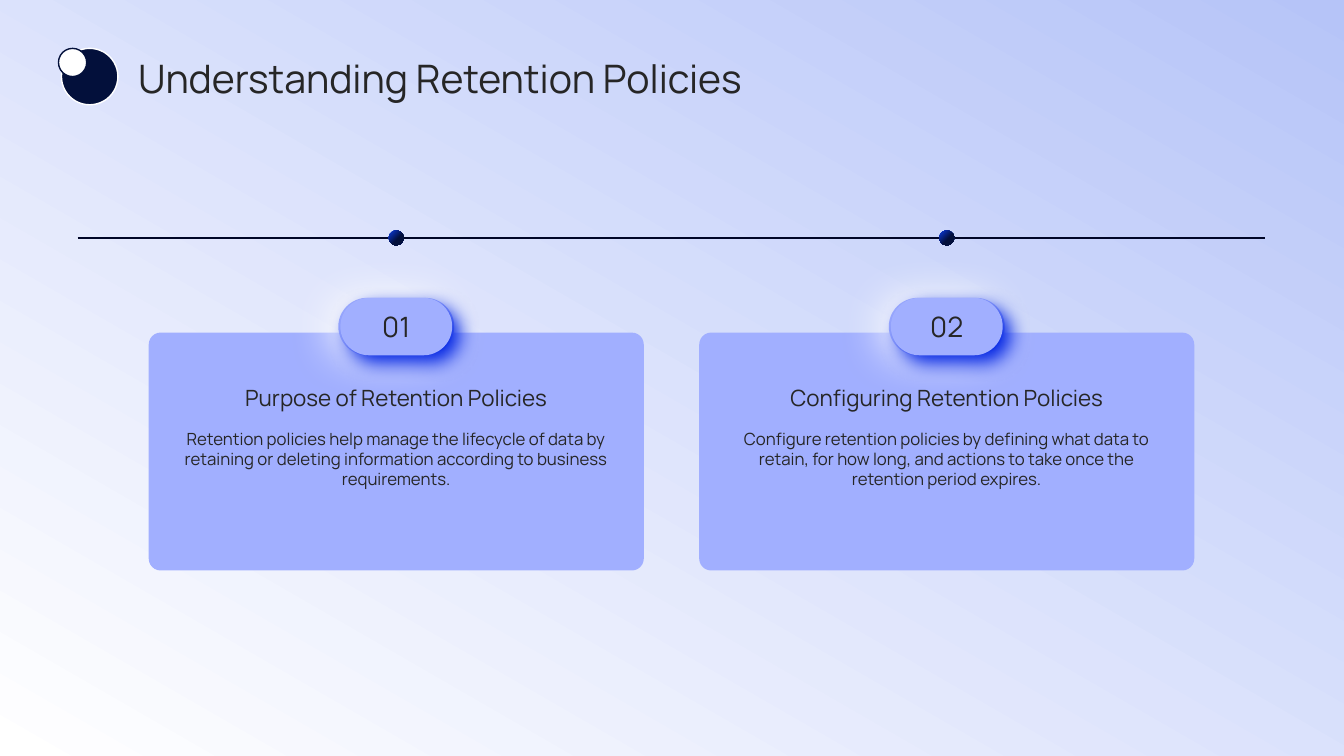
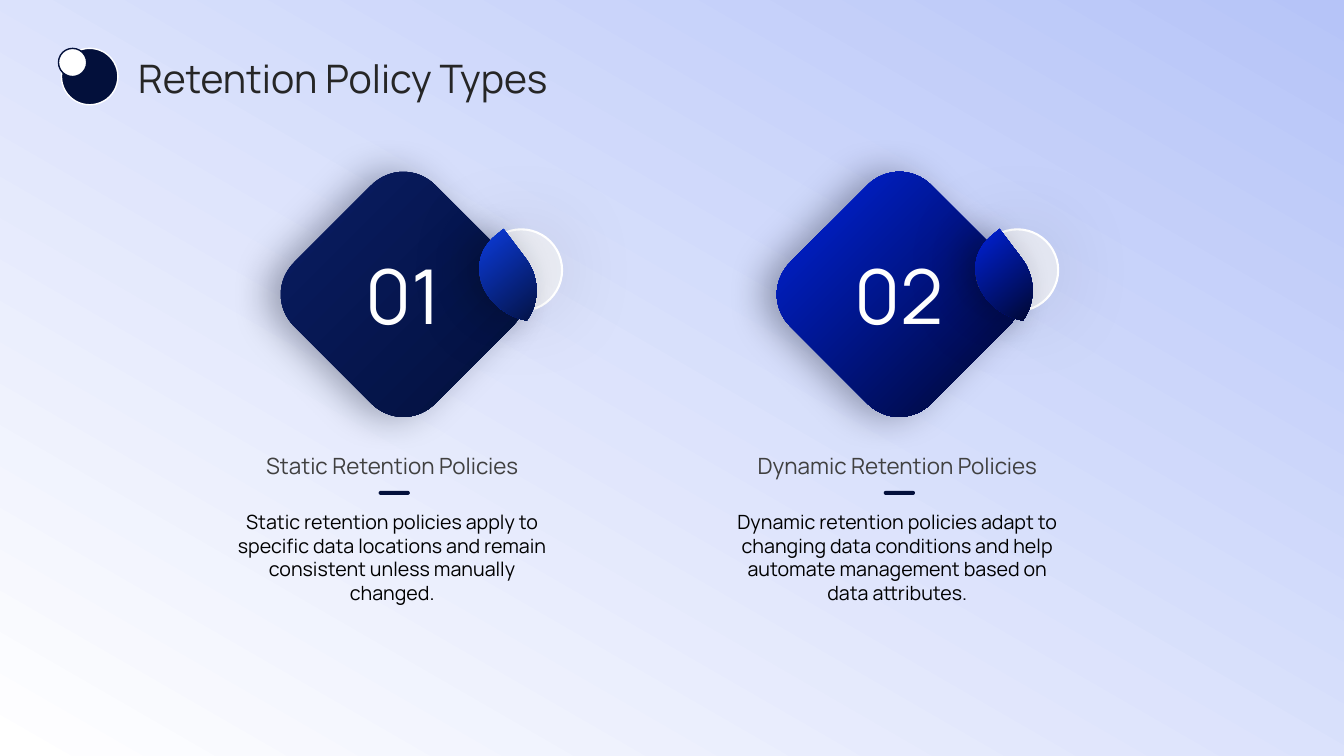
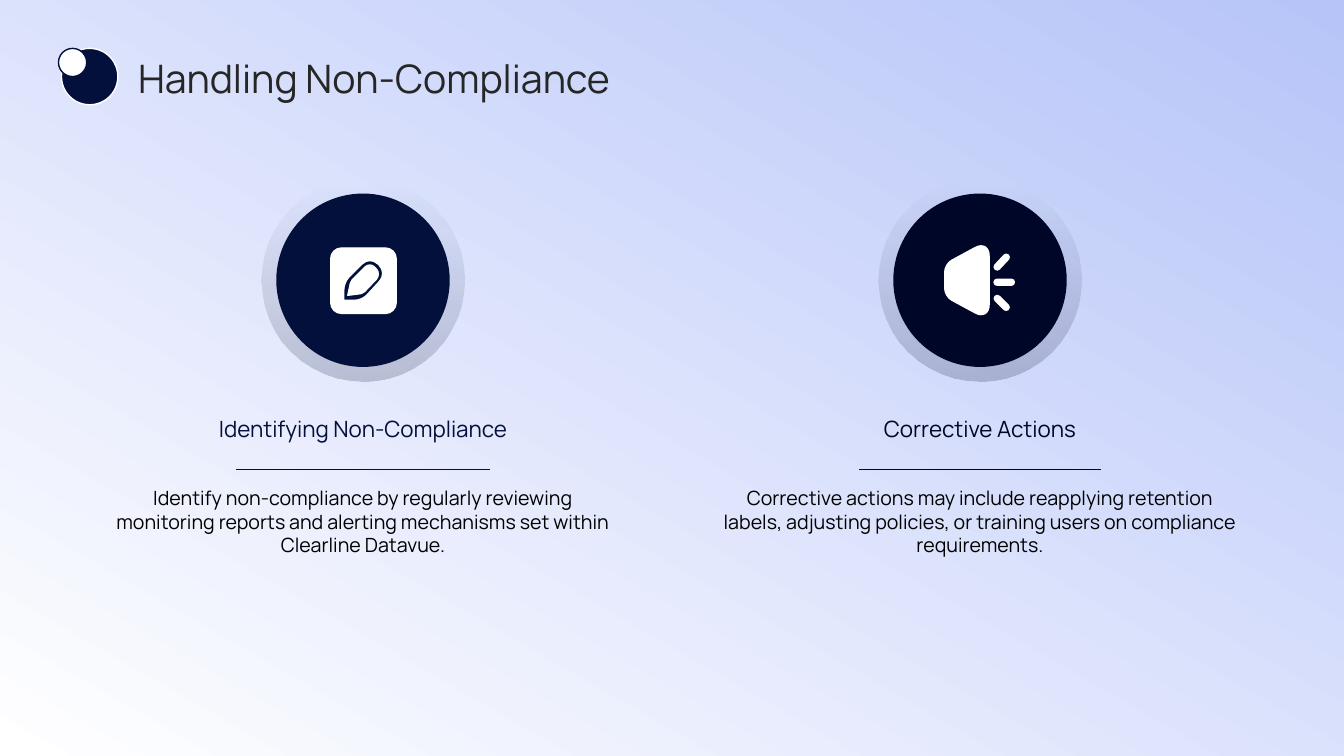
from lxml import etree
from pptx import Presentation
from pptx import util as u
from pptx.dml.color import RGBColor
from pptx.enum import shapes, text
from pptx.oxml.ns import qn

WIDTH, HEIGHT = 13.33, 7.5
FONT = "Manrope"
NAVY, MIDNIGHT, WHITE, INK, PERIWINKLE = "03103B", "000627", "FFFFFF", "262626", "A1AFFF"
ROYAL, COBALT = "0C3EE6", "0023E3"
KIND, ANCHOR, ALIGN = shapes.MSO_SHAPE, text.MSO_ANCHOR, text.PP_ALIGN

PURPOSE = {
    "title": "Understanding Retention Policies",
    "columns": [
        {"center": 3.93, "number": "01", "heading": "Purpose of Retention Policies",
         "body": "Retention policies help manage the lifecycle of data by retaining or deleting "
                 "information according to business requirements."},
        {"center": 9.39, "number": "02", "heading": "Configuring Retention Policies",
         "body": "Configure retention policies by defining what data to retain, for how long, "
                 "and actions to take once the retention period expires."},
    ],
}
TYPES = {
    "title": "Retention Policy Types",
    "columns": [
        {"center": 3.9, "diamond": 4, "number": "01", "heading": "Static Retention Policies",
         "body": "Static retention policies apply to specific data locations and remain "
                 "consistent unless manually changed.",
         "diamond_stops": [("091D65", 0), (NAVY, 1)], "leaf_stops": [(ROYAL, 0), (NAVY, 1)],
         "shade": "02081E"},
        {"center": 8.91, "diamond": 8.92, "number": "02", "heading": "Dynamic Retention Policies",
         "body": "Dynamic retention policies adapt to changing data conditions and help automate "
                 "management based on data attributes.",
         "diamond_stops": [(COBALT, 0), (MIDNIGHT, 1)], "leaf_stops": [(COBALT, 0), (MIDNIGHT, 1)],
         "shade": "000314"},
    ],
}
HANDLING = {
    "title": "Handling Non-Compliance",
    "columns": [
        {"center": 3.6, "color": NAVY, "halo": "020C2C", "rule": 2.52, "icon": "note",
         "heading": "Identifying Non-Compliance",
         "body": "Identify non-compliance by regularly reviewing monitoring reports and alerting "
                 "mechanisms set within Clearline Datavue."},
        {"center": 9.72, "color": MIDNIGHT, "halo": MIDNIGHT, "rule": 2.4, "icon": "megaphone",
         "heading": "Corrective Actions",
         "body": "Corrective actions may include reapplying retention labels, adjusting policies, "
                 "or training users on compliance requirements."},
    ],
}

# Outlines around a centre: corners are (x, y, length cut off for rounding).
DIAMOND = [(0, -1.4, 0.45), (1.4, 0, 0.45), (0, 1.4, 0.45), (-1.4, 0, 0.45)]
SHEET = [(-0.32, -0.32, 0.11), (0.33, -0.32, 0.11), (0.33, 0.33, 0.11), (-0.32, 0.33, 0.11)]
PENCIL_RIM = [(-0.19, 0.2, 0), (-0.19, 0.02, 0.07), (0.07, -0.24, 0.11), (0.24, -0.07, 0.11),
              (-0.01, 0.2, 0.07)]
PENCIL_CORE = [(-0.15, 0.15, 0), (-0.12, 0.01, 0.02), (0.07, -0.18, 0.07), (0.18, -0.06, 0.07),
               (0, 0.13, 0.02)]
HORN = [(-0.35, -0.16, 0.08), (0.09, -0.4, 0.16), (0.09, 0.4, 0.16), (-0.35, 0.16, 0.08)]
RAYS = [((0.15, -0.11), (0.28, -0.25)), ((0.14, 0.02), (0.34, 0.02)), ((0.15, 0.16), (0.28, 0.29))]
# One point is a straight side, three points are a curve.
LEAF = [((0.95, -0.64),), ((0.96, -0.63),), ((1.19, -0.38),),
        ((1.36, -0.2), (1.38, 0.05), (1.27, 0.24)), ((1.26, 0.24),),
        ((0.96, 0.21), (0.73, -0.03), (0.75, -0.31)), ((0.76, -0.41), (0.81, -0.5), (0.88, -0.57))]


def rgb(color):
    return RGBColor.from_string(color)


def paint(fill, stops, angle):
    """Two-stop gradient; the angle runs clockwise."""
    fill.gradient()
    fill.gradient_angle = 360 - angle
    for stop, (color, position) in zip(fill.gradient_stops, stops):
        stop.color.rgb = rgb(color)
        stop.position = position


def set_alpha(color_node, percent):
    etree.SubElement(color_node, qn("a:alpha")).set("val", str(percent * 1000))


def fade(shape, *percents):
    for node, percent in zip(shape._element.spPr.iter(qn("a:srgbClr")), percents):
        set_alpha(node, percent)


def cast_shadow(shape, color, percent, blur, distance, angle):
    effects = shape._element.spPr.find(qn("a:effectLst"))
    shadow = etree.SubElement(effects, qn("a:outerShdw"))
    values = {"blurRad": u.Pt(blur), "dist": u.Pt(distance), "dir": angle * 60000, "rotWithShape": 0}
    for name, value in values.items():
        shadow.set(name, str(int(value)))
    node = etree.SubElement(shadow, qn("a:srgbClr"))
    node.set("val", color)
    set_alpha(node, percent)


def dress(shape, fill=None, stops=None, angle=45, line=None, weight=1.0):
    shape.shadow.inherit = False
    if stops:
        paint(shape.fill, stops, angle)
    else:
        shape.fill.solid()
        shape.fill.fore_color.rgb = rgb(fill)
    if line:
        shape.line.color.rgb = rgb(line)
        shape.line.width = u.Pt(weight)
    else:
        shape.line.fill.background()
    return shape


def add_centered(page, kind, x, y, width, height, radius=None, **look):
    """Preset shape centred on x, y."""
    lengths = (x - width / 2, y - height / 2, width, height)
    shape = page.shapes.add_shape(kind, *map(u.Inches, lengths))
    if radius is not None:
        shape.adjustments[0] = radius
    return dress(shape, **look)


def toward(start, end, length):
    reach = ((end[0] - start[0]) ** 2 + (end[1] - start[1]) ** 2) ** 0.5
    return tuple(a + (b - a) * length / reach for a, b in zip(start, end))


def round_corners(corners):
    """Segments of a polygon whose corners are cut and curved."""
    segments = []
    for index, (x, y, cut) in enumerate(corners):
        before, after = corners[index - 1], corners[(index + 1) % len(corners)]
        if cut:
            start, *curve = [toward((x, y), side, length) for side, length in
                             ((before, cut), (before, cut * 0.44), (after, cut * 0.44), (after, cut))]
            segments += [(start,), tuple(curve)]
        else:
            segments.append(((x, y),))
    return segments


def ray_corners(start, end, half=0.03):
    across, down = toward((0, 0), (end[0] - start[0], end[1] - start[1]), half)
    corners = ((start, 1), (end, 1), (end, -1), (start, -1))
    return [(x - side * down, y + side * across, half) for (x, y), side in corners]


def bend(geometry, segments):
    """Turn each run of three drawn points that stands for a curve into one curve."""
    sides = geometry.iter(qn("a:moveTo"), qn("a:lnTo"))
    sides = iter(list(sides))
    for segment in segments:
        first, *others = [next(sides) for _ in segment]
        if others:
            first.tag = qn("a:cubicBezTo")
        for other in others:
            first.append(other[0])
            other.getparent().remove(other)


def add_outline(page, contours, x, y, **look):
    units = 1000
    builder = None
    for contour in contours:
        points = [((x + across) * units, (y + down) * units)
                  for segment in contour for across, down in segment]
        if builder is None:
            builder = page.shapes.build_freeform(*points[0], scale=u.Inches(1) / units)
        else:
            builder.move_to(*points[0])
        builder.add_line_segments(points[1:], close=True)
    shape = builder.convert_to_shape()
    bend(shape._element.spPr, [segment for contour in contours for segment in contour])
    return dress(shape, **look)


def add_line(page, start, end, color, weight):
    line = page.shapes.add_connector(shapes.MSO_CONNECTOR.STRAIGHT, *map(u.Inches, (*start, *end)))
    etree.SubElement(line._element.spPr, qn("a:effectLst"))
    line.line.color.rgb = rgb(color)
    line.line.width = u.Pt(weight)


def write(frame, words, size, color=INK, align=ALIGN.CENTER, anchor=ANCHOR.TOP, insets=(0, 0)):
    side, edge = map(u.Inches, insets)
    layout = {"word_wrap": True, "auto_size": text.MSO_AUTO_SIZE.NONE, "vertical_anchor": anchor,
              "margin_left": side, "margin_right": side, "margin_top": edge, "margin_bottom": edge}
    for name, value in layout.items():
        setattr(frame, name, value)
    frame.text = words
    para = frame.paragraphs[0]
    para.alignment = align
    for name, value in {"name": FONT, "size": u.Pt(size)}.items():
        setattr(para.runs[0].font, name, value)
    para.runs[0].font.color.rgb = rgb(color)


def add_text(page, words, center, top, width, height, size, **look):
    lengths = (center - width / 2, top, width, height)
    box = page.shapes.add_textbox(*map(u.Inches, lengths))
    write(box.text_frame, words, size, **look)


def set_up_layout(deck):
    """Background and title place shared by every slide."""
    layout = deck.slide_layouts.get_by_name("Title Only")
    paint(deck.slide_master.background.fill, [("AABDFB", 0), (WHITE, 1)], 60)
    title = next(iter(layout.placeholders))
    for name, value in {"left": 1.37, "top": 0.52, "width": 11.88, "height": 0.51}.items():
        setattr(title, name, u.Inches(value))
    return layout


def add_page(deck, layout, title):
    page = deck.slides.add_slide(layout)
    write(page.shapes.title.text_frame, title, 28, align=ALIGN.LEFT, anchor=ANCHOR.MIDDLE)
    return page


def decorate_layout(page, layout):
    """Draw the panel and the corner circles, then move them to the layout."""
    tree = layout.shapes._spTree
    panel = add_centered(page, KIND.RECTANGLE, WIDTH / 2, HEIGHT / 2, WIDTH, HEIGHT,
                         stops=[("B6C4F8", 0), (WHITE, 1)], angle=120)
    tree.insert(2, panel._element)
    for x, y, size, fill, line in ((0.89, 0.76, 0.56, NAVY, WHITE), (0.72, 0.62, 0.28, WHITE, NAVY)):
        circle = add_centered(page, KIND.OVAL, x, y, size, size, fill=fill, line=line)
        tree.append(circle._element)


def draw_purpose(page, columns):
    add_line(page, (0.77, 2.36), (12.55, 2.36), MIDNIGHT, 1)
    for column in columns:
        x = column["center"]
        add_centered(page, KIND.OVAL, x, 2.36, 0.15, 0.15, stops=[(ROYAL, 0), (NAVY, 0.6)])
        add_centered(page, KIND.ROUNDED_RECTANGLE, x, 4.48, 4.91, 2.36, 0.05, fill=PERIWINKLE)
        for width, shadow in ((1.15, (WHITE, 100, 32, 6, 180)), (1.11, (COBALT, 100, 14, 8, 45))):
            pill = add_centered(page, KIND.ROUNDED_RECTANGLE, x, 3.24, width, 0.57, 0.5, fill=PERIWINKLE)
            cast_shadow(pill, *shadow)
        add_text(page, column["number"], x, 3.08, 0.73, 0.31, 20, anchor=ANCHOR.MIDDLE)
        add_text(page, column["heading"], x, 3.79, 4.37, 0.31, 16, anchor=ANCHOR.MIDDLE)
        add_text(page, column["body"], x, 4.25, 4.37, 1.12, 12)


def draw_types(page, columns):
    middle = 2.92
    for column in columns:
        x, center = column["diamond"], column["center"]
        shadow = (column["shade"], 32, 26, 10, 180)
        diamond = add_outline(page, [round_corners(DIAMOND)], x, middle, stops=column["diamond_stops"])
        cast_shadow(diamond, *shadow)
        write(diamond.text_frame, column["number"], 54, color=WHITE, anchor=ANCHOR.MIDDLE)
        bubble = add_centered(page, KIND.OVAL, x + 1.17, 2.68, 0.81, 0.81,
                              fill="F2F2F2", line=WHITE, weight=1.5)
        fade(bubble, 70)
        cast_shadow(bubble, "000000", 15, 62, 0, 0)
        leaf = add_outline(page, [LEAF], x, middle, stops=column["leaf_stops"])
        leaf.rotation = 5.6
        cast_shadow(leaf, *shadow)
        add_text(page, column["heading"], center - 0.01, 4.17, 3.39, 0.62, 16, color="404040",
                 anchor=ANCHOR.BOTTOM, insets=(0.07, 0.04))
        add_centered(page, KIND.ROUNDED_RECTANGLE, center + 0.01, 4.89, 0.31, 0.04, 0.5, fill=NAVY)
        add_text(page, column["body"], center - 0.01, 5.01, 3.39, 1.88, 14, color="000000",
                 insets=(0.1, 0.05))


def draw_handling(page, columns):
    icons = {"note": [SHEET, PENCIL_RIM, PENCIL_CORE],
             "megaphone": [HORN] + [ray_corners(*ends) for ends in RAYS]}
    middle = 2.78
    for column in columns:
        x, color = column["center"], column["color"]
        halo = add_centered(page, KIND.OVAL, x, middle, 2.01, 2.01,
                            stops=[(color, 0), (column["halo"], 1)], angle=90)
        fade(halo, 0, 20)
        add_centered(page, KIND.OVAL, x, middle, 1.72, 1.72, fill=color)
        contours = [round_corners(corners) for corners in icons[column["icon"]]]
        add_outline(page, contours, x, middle, fill=WHITE, line=WHITE)
        add_text(page, column["heading"], x, 4.02, 5.12, 0.47, 16, color=color, anchor=ANCHOR.MIDDLE)
        half = column["rule"] / 2
        add_line(page, (x - half, 4.66), (x + half, 4.66), color, 0.5)
        add_text(page, column["body"], x, 4.82, 5.12, 1.85, 14, color="000000")


def main():
    deck = Presentation()
    deck.slide_width, deck.slide_height = u.Inches(WIDTH), u.Inches(HEIGHT)
    layout = set_up_layout(deck)
    drawings = ((PURPOSE, draw_purpose), (TYPES, draw_types), (HANDLING, draw_handling))
    for content, draw in drawings:
        page = add_page(deck, layout, content["title"])
        draw(page, content["columns"])
    decorate_layout(page, layout)
    deck.save("out.pptx")


if __name__ == "__main__":
    main()
